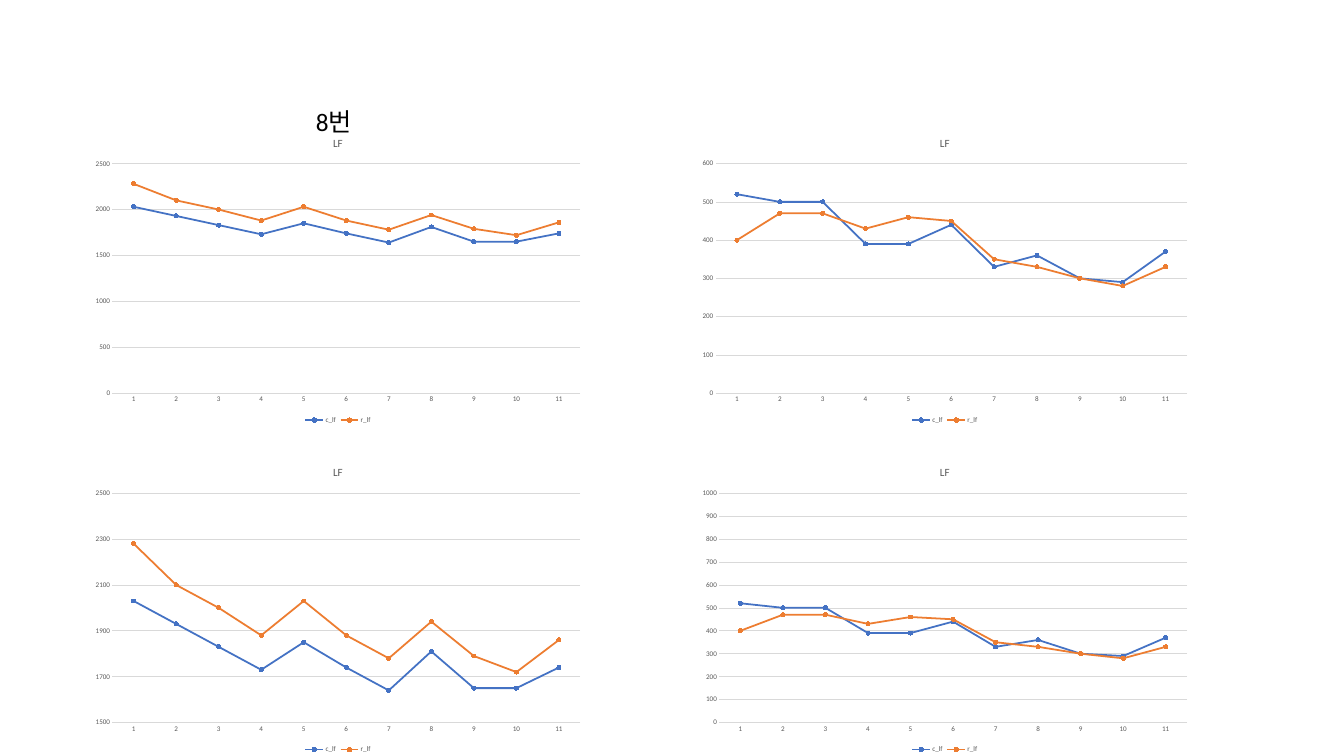
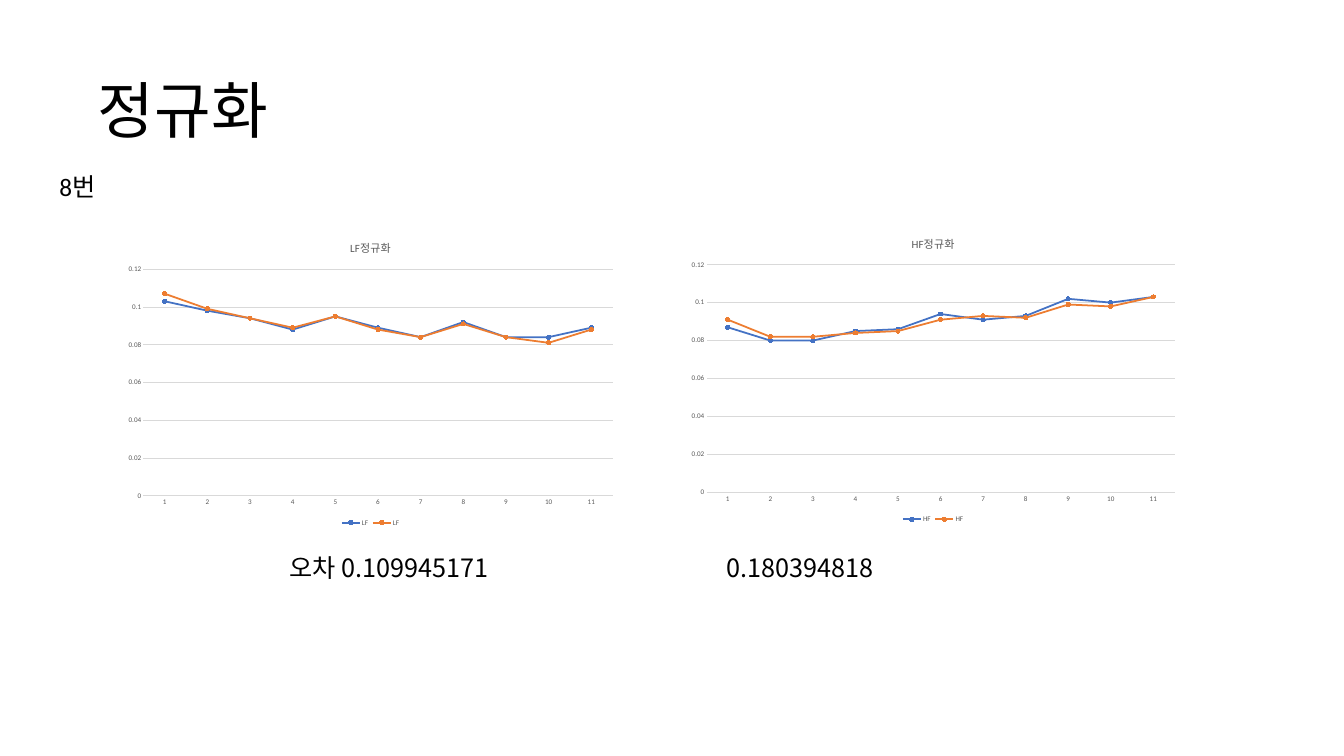
from dataclasses import dataclass

from pptx import Presentation
from pptx.chart.data import CategoryChartData
from pptx.dml.color import RGBColor
from pptx.enum.chart import XL_CHART_TYPE, XL_LEGEND_POSITION, XL_MARKER_STYLE, XL_TICK_MARK
from pptx.enum.text import MSO_ANCHOR
from pptx.util import Inches, Pt

LINE_MARKERS = XL_CHART_TYPE.LINE_MARKERS
LEGEND_BOTTOM = XL_LEGEND_POSITION.BOTTOM
CIRCLE = XL_MARKER_STYLE.CIRCLE
NO_TICK = XL_TICK_MARK.NONE
MIDDLE = MSO_ANCHOR.MIDDLE
TOP = MSO_ANCHOR.TOP


@dataclass(frozen=True)
class Theme:
    font: str = "Calibri"
    korean_font: str = "Noto Sans CJK KR"
    text: RGBColor = RGBColor(0x00, 0x00, 0x00)
    muted: RGBColor = RGBColor(0x59, 0x59, 0x59)
    grid: RGBColor = RGBColor(0xD9, 0xD9, 0xD9)
    series: tuple = (RGBColor(0x44, 0x72, 0xC4), RGBColor(0xED, 0x7D, 0x31))
    title_size: float = 78.2
    body_size: float = 32
    chart_title_size: float = 14
    chart_size: float = 10
    label_size: float = 9
    grid_width: float = 0.75
    series_width: float = 2.25
    marker_size: int = 5


theme = Theme()


def style_font(font, size, color, name=theme.font):
    font.name = name
    font.size = Pt(size)
    font.bold = False
    font.color.rgb = color


def add_line_chart(slide, box, title, series_values, scale=(None, None, None)):
    data = CategoryChartData()
    data.categories = [str(number) for number in range(1, 12)]
    for name, values in series_values:
        data.add_series(name, values)
    chart = slide.shapes.add_chart(LINE_MARKERS, *map(Inches, box), data).chart
    style_font(chart.font, theme.chart_size, theme.text)

    chart.has_title = True
    title_frame = chart.chart_title.text_frame
    title_frame.text = title
    style_font(title_frame.paragraphs[0].font, theme.chart_title_size, theme.muted)
    chart.chart_title.include_in_layout = False

    chart.has_legend = True
    chart.legend.position = LEGEND_BOTTOM
    chart.legend.include_in_layout = False
    style_font(chart.legend.font, theme.label_size, theme.muted)

    category_axis, value_axis = chart.category_axis, chart.value_axis
    for axis in (category_axis, value_axis):
        axis.major_tick_mark = axis.minor_tick_mark = NO_TICK
        style_font(axis.tick_labels.font, theme.label_size, theme.muted)
    category_axis.has_major_gridlines = False
    value_axis.has_major_gridlines = True
    for line in (category_axis.format.line, value_axis.major_gridlines.format.line):
        line.color.rgb = theme.grid
        line.width = Pt(theme.grid_width)
    value_axis.format.line.fill.background()
    value_axis.minimum_scale, value_axis.maximum_scale, value_axis.major_unit = scale

    for series, color in zip(chart.plots[0].series, theme.series):
        series.smooth = False
        series.format.line.color.rgb = color
        series.format.line.width = Pt(theme.series_width)
        series.marker.style = CIRCLE
        series.marker.size = theme.marker_size
        series.marker.format.fill.solid()
        series.marker.format.fill.fore_color.rgb = color
        series.marker.format.line.color.rgb = color


low_values = [
    ("c_lf", [2030, 1930, 1830, 1730, 1850, 1740, 1640, 1810, 1650, 1650, 1740]),
    ("r_lf", [2280, 2100, 2000, 1880, 2030, 1880, 1780, 1940, 1790, 1720, 1860]),
]
high_values = [
    ("c_lf", [520, 500, 500, 390, 390, 440, 330, 360, 300, 290, 370]),
    ("r_lf", [400, 470, 470, 430, 460, 450, 350, 330, 300, 280, 330]),
]
low_normalized = [
    ("LF", [0.103, 0.098, 0.094, 0.088, 0.095, 0.089, 0.084, 0.092, 0.084, 0.084, 0.089]),
    ("LF", [0.107, 0.099, 0.094, 0.089, 0.095, 0.088, 0.084, 0.091, 0.084, 0.081, 0.088]),
]
high_normalized = [
    ("HF", [0.087, 0.08, 0.08, 0.085, 0.086, 0.094, 0.091, 0.093, 0.102, 0.1, 0.103]),
    ("HF", [0.091, 0.082, 0.082, 0.084, 0.085, 0.091, 0.093, 0.092, 0.099, 0.098, 0.103]),
]

presentation = Presentation()
presentation.slide_width = Inches(23.7)
presentation.slide_height = Inches(13.33)
blank_layout = presentation.slide_layouts[6]
raw_slide = presentation.slides.add_slide(blank_layout)
normalized_slide = presentation.slides.add_slide(blank_layout)

columns = [
    (1.51, low_values, (1500, 2500, 200)),
    (12.21, high_values, (0, 1000, None)),
]
for left, values, zoomed_scale in columns:
    for top, scale in ((2.19, (None, None, None)), (8, zoomed_scale)):
        add_line_chart(raw_slide, (left, top, 8.9, 5.33), "LF", values, scale)

add_line_chart(normalized_slide, (2.09, 4.01, 8.89, 5.32), "LF정규화", low_normalized)
add_line_chart(normalized_slide, (12.02, 3.93, 8.87, 5.34), "HF정규화", high_normalized)

texts = [
    (raw_slide, (5.47, 1.83, 2.93, 0.64), "8번", theme.body_size, theme.font, TOP, 1.0),
    (normalized_slide, (1.63, 0.71, 20.44, 2.58), "정규화", theme.title_size, theme.font, MIDDLE, 0.9),
    (normalized_slide, (0.95, 2.97, 1.73, 0.64), "8번", theme.body_size, theme.font, TOP, 1.0),
    (normalized_slide, (5.01, 9.69, 5, 0.64), "오차 0.109945171", theme.body_size, theme.korean_font, TOP, 1.0),
    (normalized_slide, (12.72, 9.69, 5, 0.64), "0.180394818", theme.body_size, theme.korean_font, TOP, 1.0),
]
for slide, box, text, size, font_name, anchor, spacing in texts:
    frame = slide.shapes.add_textbox(*map(Inches, box)).text_frame
    frame.word_wrap = True
    frame.vertical_anchor = anchor
    paragraph = frame.paragraphs[0]
    paragraph.text = text
    paragraph.line_spacing = spacing
    style_font(paragraph.font, size, theme.text, font_name)

presentation.save("out.pptx")
